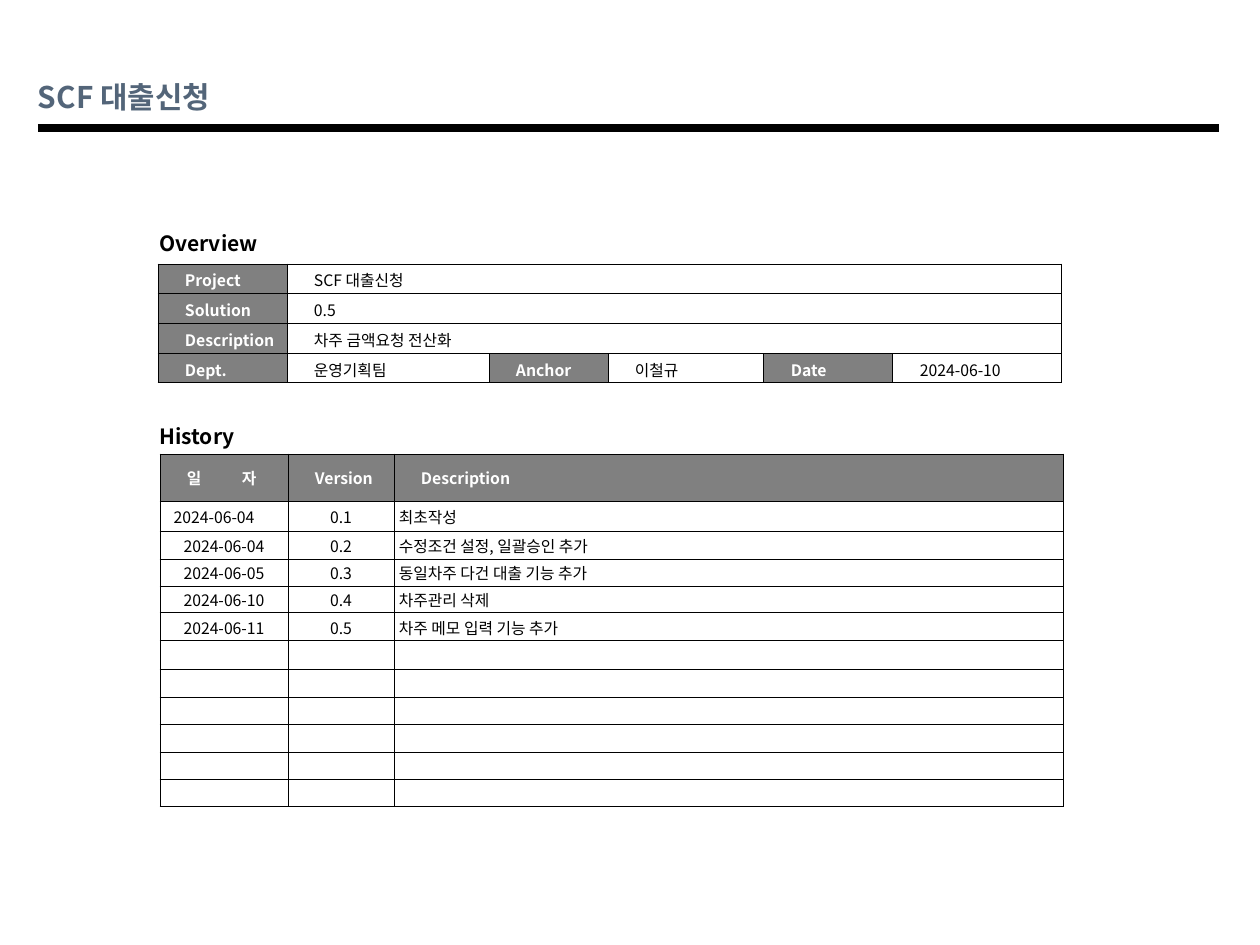
"""Build the loan request cover slide with its overview and history tables."""
import pptx
import pptx.util
import pptx.dml.color
import pptx.enum.shapes
import pptx.enum.text
import pptx.oxml.ns
import lxml.etree

FONT = "Noto Sans CJK KR"
HUES = {"title": "536579", "ink": "000000", "paper": "FFFFFF", "head": "808080"}
TITLE = "SCF 대출신청"
HEADS = [("Overview", 224), ("History", 417)]
FACTS = [
    ["Project", "SCF 대출신청"],
    ["Solution", "0.5"],
    ["Description", "차주 금액요청 전산화"],
    ["Dept.", "운영기획팀", "Anchor", "이철규", "Date", "2024-06-10"],
]
FACT_COLS = [129, 202, 119, 156, 129, 169]
FACT_ROWS = [29, 30, 31, 29]
LOG = [
    ["일\t자", "Version", "Description"],
    ["2024-06-04", "0.1", "최초작성"],
    ["2024-06-04", "0.2", "수정조건 설정, 일괄승인 추가"],
    ["2024-06-05", "0.3", "동일차주 다건 대출 기능 추가"],
    ["2024-06-10", "0.4", "차주관리 삭제"],
    ["2024-06-11", "0.5", "차주 메모 입력 기능 추가"],
] + [[""] * 3] * 6
LOG_COLS = [128, 106, 669]
LOG_ROWS = [47, 30, 28, 27, 27, 28, 29, 28, 27, 28, 27, 27]
LEFT = pptx.enum.text.PP_ALIGN.LEFT
MID = pptx.enum.text.PP_ALIGN.CENTER
CENTER = pptx.enum.text.MSO_ANCHOR.MIDDLE


def px(n):
    return pptx.util.Emu(round(n * 914400 / 126))


def rgb(key):
    return pptx.dml.color.RGBColor.from_string(HUES[key])


def sub(node, tag, **attrs):
    return lxml.etree.SubElement(node, pptx.oxml.ns.qn(tag), **attrs)


def write(frame, text, size, hue, bold, align=LEFT):
    para = frame.paragraphs[0]
    para.alignment = align
    if not text:
        sub(para._p, "a:endParaRPr", sz=str(size * 100))
        return
    run = para.add_run()
    run.text = text
    font = run.font
    font.size, font.bold, font.name = pptx.util.Pt(size), bold, FONT
    font.color.rgb = rgb(hue)
    sub(run._r.get_or_add_rPr(), "a:ea", typeface=FONT)
    if "\t" in text:
        tabs = sub(para._p.get_or_add_pPr(), "a:tabLst")
        sub(tabs, "a:tab", pos=str(px(55)), algn="l")


def inset(part, left, top, right, base):
    part.margin_left, part.margin_top = px(left), px(top)
    part.margin_right, part.margin_bottom = px(right), px(base)


def border(cell):
    props = cell._tc.get_or_add_tcPr()
    for spot, side in enumerate("LRTB"):
        line = sub(props, f"a:ln{side}", w="6350")
        sub(sub(line, "a:solidFill"), "a:srgbClr", val=HUES["ink"])
        props.insert(spot, line)


def grid(slide, x, y, cols, rows):
    size = px(sum(cols)), px(sum(rows))
    table = slide.shapes.add_table(len(rows), len(cols), px(x), px(y), *size).table
    table.first_row = table.horz_banding = False
    for col, wide in zip(table.columns, cols):
        col.width = px(wide)
    for row, tall in zip(table.rows, rows):
        row.height = px(tall)
    return table


def fill(cell, text, head, pad, align=LEFT):
    cell.fill.solid()
    cell.fill.fore_color.rgb = rgb("head" if head else "paper")
    cell.vertical_anchor = CENTER
    inset(cell, *pad)
    write(cell.text_frame, text, 9, "paper" if head else "ink", head, align)
    border(cell)


def facts(slide):
    table = grid(slide, 158, 264, FACT_COLS, FACT_ROWS)
    for r, row in enumerate(FACTS):
        if len(row) == 2:
            table.cell(r, 1).merge(table.cell(r, 5))
        for c in range(len(FACT_COLS)):
            text = row[c] if c < len(row) else ""
            head = c % 2 == 0 and c < len(row)
            fill(table.cell(r, c), text, head, (27, 3, 5, 0))


def log(slide):
    table = grid(slide, 160, 454, LOG_COLS, LOG_ROWS)
    for r, row in enumerate(LOG):
        for c, text in enumerate(row):
            if r == 0:
                pad = 27, 4, 8, 4
            elif c == 2:
                pad = 5, 1, 1, 0
            else:
                pad = 1, 1, 21 if (r, c) == (1, 0) else 1, 0
            align = MID if r and c < 2 else LEFT
            fill(table.cell(r, c), text, r == 0, pad, align)


def main():
    deck = pptx.Presentation()
    deck.slide_width, deck.slide_height = px(1260), px(945)
    slide = deck.slides.add_slide(deck.slide_layouts[5])
    title = slide.shapes.title
    title.left, title.top, title.width, title.height = map(px, (35, 77, 1095, 39))
    frame = title.text_frame
    frame.auto_size = pptx.enum.text.MSO_AUTO_SIZE.NONE
    frame.vertical_anchor = CENTER
    inset(frame, 3, 1, 3, 1)
    write(frame, TITLE, 17, "title", True)

    kind = pptx.enum.shapes.MSO_CONNECTOR.STRAIGHT
    rule = slide.shapes.add_connector(kind, px(38), px(128), px(1219), px(128))
    rule.line.color.rgb = rgb("ink")
    rule.line.width = pptx.util.Pt(4.5)
    sub(rule._element.spPr, "a:effectLst")

    facts(slide)
    log(slide)
    for text, y in HEADS:
        box = slide.shapes.add_textbox(px(147), px(y), px(217), px(38))
        box.text_frame.word_wrap = True
        write(box.text_frame, text, 12, "ink", True)
    deck.save("out.pptx")


if __name__ == "__main__":
    main()
